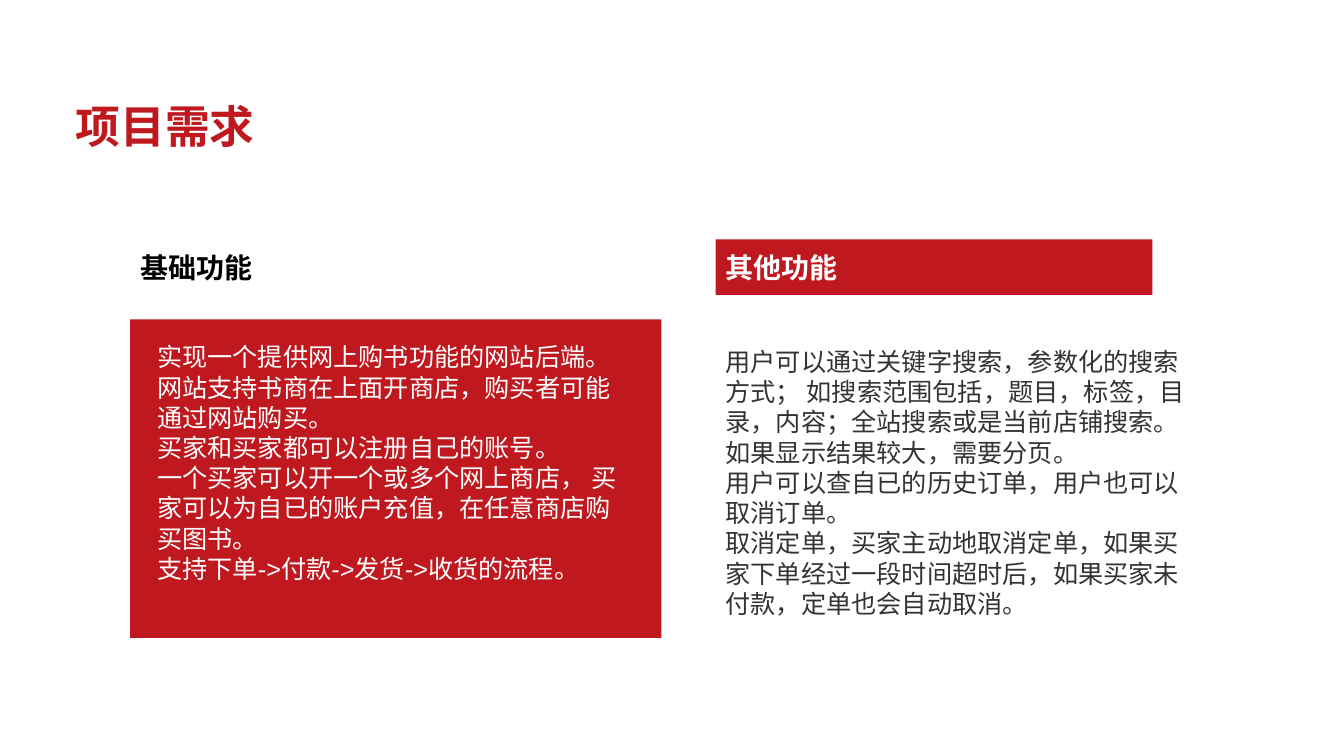
"""Build the project requirements slide with basic and additional functions."""
from pptx import Presentation
from pptx.dml.color import RGBColor
from pptx.enum.shapes import MSO_SHAPE
from pptx.enum.text import MSO_ANCHOR, PP_ALIGN
from pptx.util import Pt

RED, WHITE, BLACK, GRAY = "BF181F", "FFFFFF", "000000", "333333"


def add_panel(left, top, width, height, fill):
    shape = slide.shapes.add_shape(
        MSO_SHAPE.RECTANGLE, Pt(left), Pt(top), Pt(width), Pt(height))
    shape.shadow.inherit = False
    shape.fill.solid()
    shape.fill.fore_color.rgb = RGBColor.from_string(fill)
    shape.line.fill.background()
    return shape


def write_text(shape, lines, size, color, bold=False, align=PP_ALIGN.LEFT,
               anchor=MSO_ANCHOR.MIDDLE, wrap=True):
    frame = shape.text_frame
    frame.word_wrap = wrap
    frame.vertical_anchor = anchor
    frame.text = "\n".join(lines)
    for paragraph in frame.paragraphs:
        paragraph.alignment = align
        paragraph.font.name = "Arial"
        paragraph.font.size = Pt(size)
        paragraph.font.bold = bold
        paragraph.font.color.rgb = RGBColor.from_string(color)


presentation = Presentation()
presentation.slide_width = Pt(960)
presentation.slide_height = Pt(540)
slide = presentation.slides.add_slide(presentation.slide_layouts[6])

title = slide.shapes.add_textbox(Pt(46.8), Pt(67), Pt(144), Pt(46))
write_text(title, ["项目需求"], 32, RED, bold=True, anchor=MSO_ANCHOR.TOP, wrap=False)

headings = [
    ("基础功能", 93, 267, WHITE, BLACK),
    ("其他功能", 511.2, 312, RED, WHITE),
]
for heading, left, width, fill, color in headings:
    panel = add_panel(left, 171, width, 39.6, fill)
    write_text(panel, [heading], 20, color, bold=True, align=PP_ALIGN.JUSTIFY)

add_panel(93, 228.2, 379.4, 227.5, RED)
basic = slide.shapes.add_textbox(Pt(112.3), Pt(244), Pt(338.4), Pt(198.7))
frame = basic.text_frame
frame.margin_left = frame.margin_right = frame.margin_top = frame.margin_bottom = 0
write_text(basic, [
    "实现一个提供网上购书功能的网站后端。",
    "网站支持书商在上面开商店，购买者可能通过网站购买。",
    "买家和买家都可以注册自己的账号。",
    "一个买家可以开一个或多个网上商店， 买家可以为自已的账户充值，在任意商店购买图书。",
    "支持下单->付款->发货->收货的流程。",
], 18, WHITE, anchor=MSO_ANCHOR.TOP)

other = slide.shapes.add_textbox(Pt(511.2), Pt(242.6), Pt(355.7), Pt(203.8))
write_text(other, [
    "用户可以通过关键字搜索，参数化的搜索方式； 如搜索范围包括，题目，标签，目录，内容；"
    "全站搜索或是当前店铺搜索。 如果显示结果较大，需要分页。",
    "用户可以查自已的历史订单，用户也可以取消订单。",
    "取消定单，买家主动地取消定单，如果买家下单经过一段时间超时后，如果买家未付款，定单也会自动取消。",
], 18, GRAY)

presentation.save("out.pptx")
